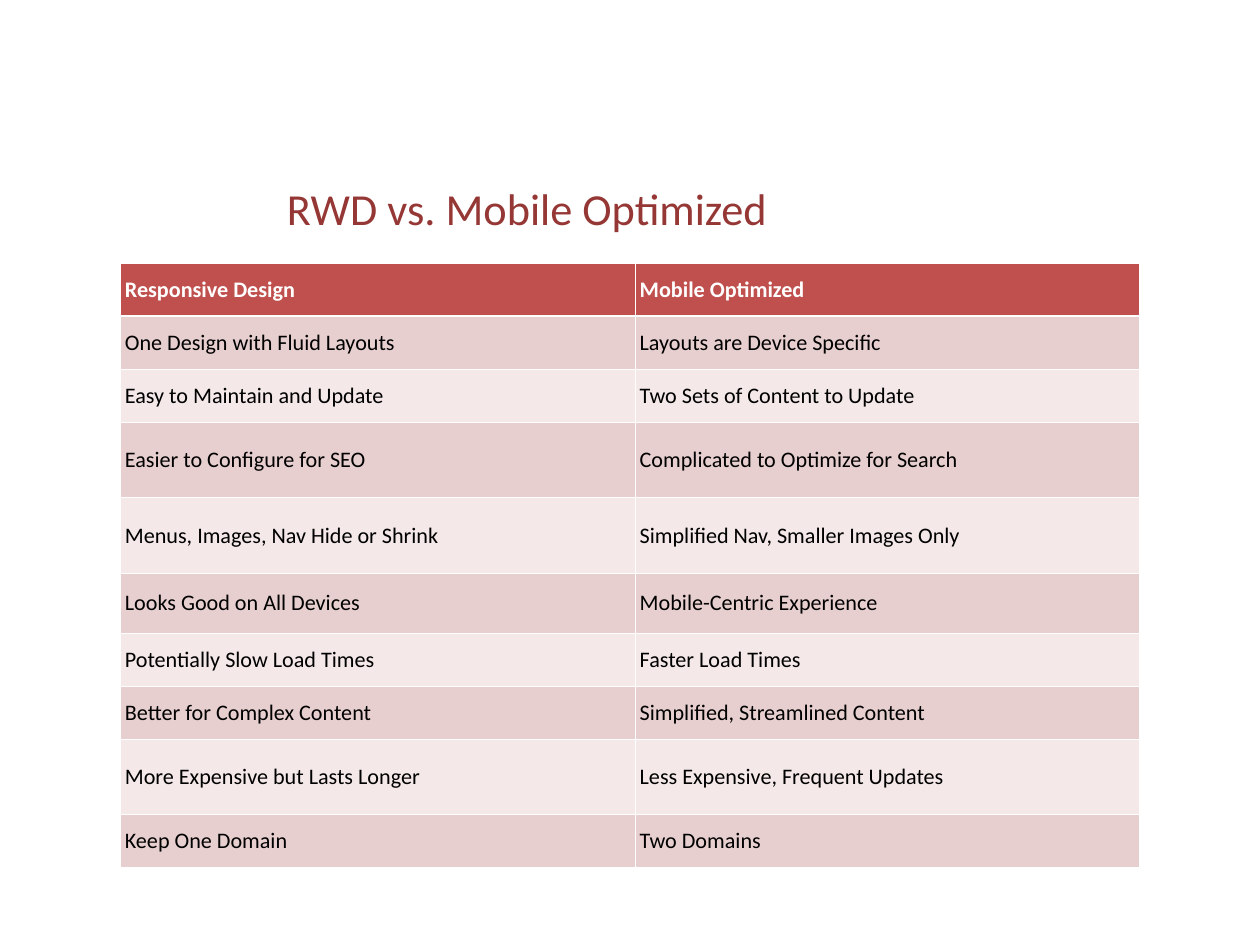
import dataclasses

import lxml.etree
import pptx
import pptx.dml.color
import pptx.enum.text
import pptx.oxml.ns
import pptx.util


@dataclasses.dataclass(frozen=True)
class Theme:
    font: str = "Calibri"
    title_size: int = 36
    table_size: int = 18
    title: str = "953735"
    header: str = "C0504D"
    bands: tuple = ("E8CFCF", "F4E8E8")
    white: str = "FFFFFF"
    black: str = "000000"
    inset: float = 0.05
    thin: float = 0.45
    thick: float = 1.47


COMPARISON = [
    ("Responsive Design", "Mobile Optimized"),
    ("One Design with Fluid Layouts", "Layouts are Device Specific"),
    ("Easy to Maintain and Update", "Two Sets of Content to Update"),
    ("Easier to Configure for SEO", "Complicated to Optimize for Search"),
    ("Menus, Images, Nav Hide or Shrink", "Simplified Nav, Smaller Images Only"),
    ("Looks Good on All Devices", "Mobile-Centric Experience"),
    ("Potentially Slow Load Times", "Faster Load Times"),
    ("Better for Complex Content", "Simplified, Streamlined Content"),
    ("More Expensive but Lasts Longer", "Less Expensive, Frequent Updates"),
    ("Keep One Domain", "Two Domains"),
]
NORMAL, TALL, MEDIUM = 5.6, 8, 6.35
ROW_HEIGHTS = [NORMAL] * 3 + [TALL] * 2 + [MEDIUM] + [NORMAL] * 2 + [TALL, NORMAL]
COLUMN_WIDTHS = [40.86, 40.01]


def color(value):
    return pptx.dml.color.RGBColor.from_string(value)


def write(frame, text, *, font, size, fill, bold=False):
    para = frame.paragraphs[0]
    para.alignment = pptx.enum.text.PP_ALIGN.LEFT
    span = para.add_run()
    span.text = text
    span.font.name = font
    span.font.size = pptx.util.Pt(size)
    span.font.bold = bold
    span.font.color.rgb = color(fill)


class Page:
    """Draw elements on one slide over a grid of 100 columns by 100 rows."""

    def __init__(self, deck, theme):
        self.theme = theme
        self.column = deck.slide_width / 100
        self.row = deck.slide_height / 100
        self.slide = deck.slides.add_slide(deck.slide_layouts[6])
        self.slide.background.fill.solid()
        self.slide.background.fill.fore_color.rgb = color(theme.white)

    def place(self, left, top, width, height):
        return (round(left * self.column), round(top * self.row),
                round(width * self.column), round(height * self.row))

    def pad(self, holder):
        for side in ("left", "top", "right", "bottom"):
            setattr(holder, f"margin_{side}", pptx.util.Inches(self.theme.inset))

    def title(self, text, *area):
        frame = self.slide.shapes.add_textbox(*self.place(*area)).text_frame
        frame.word_wrap = True
        frame.auto_size = pptx.enum.text.MSO_AUTO_SIZE.SHAPE_TO_FIT_TEXT
        self.pad(frame)
        write(frame, text, font=self.theme.font, size=self.theme.title_size,
              fill=self.theme.title)

    def border(self, cell, side, width):
        properties = cell._tc.get_or_add_tcPr()
        name = pptx.oxml.ns.qn
        line = lxml.etree.SubElement(properties, name(f"a:ln{side}"),
                                     w=str(pptx.util.Pt(width)))
        solid = lxml.etree.SubElement(line, name("a:solidFill"))
        lxml.etree.SubElement(solid, name("a:srgbClr"), val=self.theme.white)

    def cell(self, cell, text, index):
        theme = self.theme
        header = index == 0
        self.pad(cell)
        cell.vertical_anchor = pptx.enum.text.MSO_ANCHOR.MIDDLE
        for side in "LRTB":
            heavy = (index, side) in ((0, "B"), (1, "T"))
            self.border(cell, side, theme.thick if heavy else theme.thin)
        cell.fill.solid()
        cell.fill.fore_color.rgb = color(
            theme.header if header else theme.bands[(index - 1) % 2])
        write(cell.text_frame, text, font=theme.font, size=theme.table_size,
              fill=theme.white if header else theme.black, bold=header)

    def table(self, left, top, widths, heights, content):
        area = self.place(left, top, sum(widths), sum(heights))
        table = self.slide.shapes.add_table(len(heights), len(widths), *area).table
        for column, width in zip(table.columns, widths):
            column.width = round(width * self.column)
        for index, (row, height, texts) in enumerate(zip(table.rows, heights, content)):
            row.height = round(height * self.row)
            for cell, text in zip(row.cells, texts):
                self.cell(cell, text, index)


def main():
    deck = pptx.Presentation()
    deck.slide_width = pptx.util.Inches(14.22)
    deck.slide_height = pptx.util.Inches(10.66)
    page = Page(deck, Theme())
    page.title("RWD vs. Mobile Optimized", 22.43, 18.76, 55.13, 6.57)
    page.table(9.56, 27.86, COLUMN_WIDTHS, ROW_HEIGHTS, COMPARISON)
    deck.save("out.pptx")


if __name__ == "__main__":
    main()
